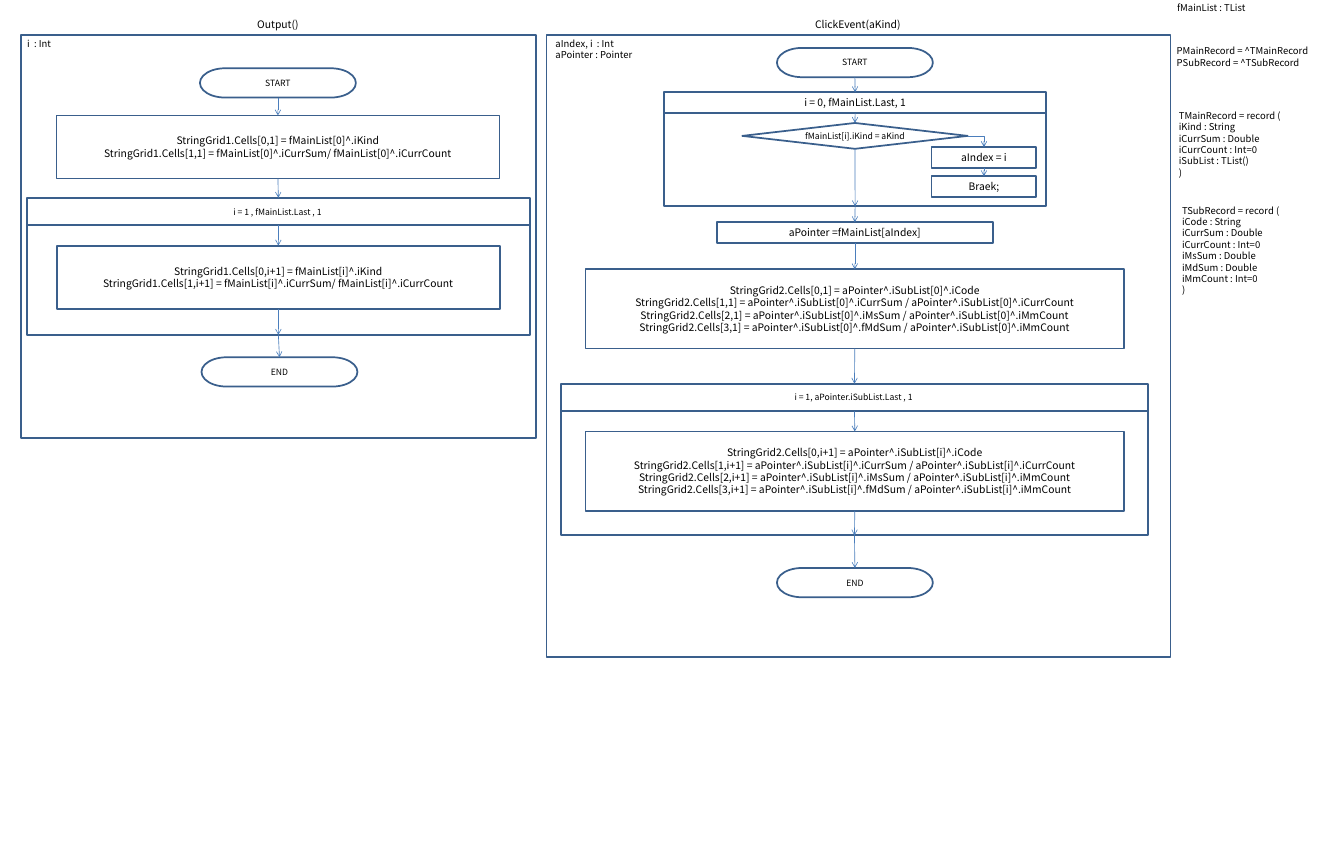
from dataclasses import dataclass

from lxml import etree
from pptx import Presentation
from pptx.dml.color import RGBColor
from pptx.enum.shapes import MSO_CONNECTOR, MSO_SHAPE
from pptx.enum.text import MSO_ANCHOR, PP_ALIGN
from pptx.oxml.ns import qn
from pptx.util import Pt

RECT = MSO_SHAPE.RECTANGLE
TERMINATOR = MSO_SHAPE.FLOWCHART_TERMINATOR
DECISION = MSO_SHAPE.FLOWCHART_DECISION
STRAIGHT, ELBOW = MSO_CONNECTOR.STRAIGHT, MSO_CONNECTOR.ELBOW
LEFT, CENTER = PP_ALIGN.LEFT, PP_ALIGN.CENTER
TOP_ANCHOR, MIDDLE = MSO_ANCHOR.TOP, MSO_ANCHOR.MIDDLE
TOP, BOTTOM, RIGHT = 0, 2, 3  # connection sites

FONT = "Noto Sans CJK KR"
LINE_PITCH = 1.2  # line height relative to the text size
COLORS = {"text": "000000", "border": "3A5F8C", "arrow": "4B7EBC"}


@dataclass
class Node:
    key: str
    left: float
    top: float
    width: float
    height: float
    text: str = ""
    size: float = 12
    kind: int = RECT


@dataclass
class Label:
    left: float
    top: float
    width: float
    text: str
    size: float = 11
    align: int = LEFT
    inset_x: float = 7.2
    inset_y: float = 3.6
    wrap: bool = True


@dataclass
class Link:
    start: str
    end: str
    start_site: int = BOTTOM
    end_site: int = TOP
    kind: int = STRAIGHT


def terminal(key: str, left: float, top: float, text: str) -> Node:
    return Node(key, left, top, 181, 34, text, 10, TERMINATOR)


def loop(key: str, left: float, top: float, width: float, head: float,
         body: float, text: str, size: float = 10) -> list[Node]:
    """A loop is a header box with its body frame right below."""
    return [Node(key, left, top, width, head, text, size),
            Node(key + " body", left, top + head, width, body)]


def grid_lines(grid: int, row: str, source: str, fields: list[str]) -> str:
    """Assignments of one grid row: the first field, then the quotients."""
    first, *quotients = fields
    lines = [f"StringGrid{grid}.Cells[0,{row}] = {source}^.{first}"]
    for col, quotient in enumerate(quotients, 1):
        value = quotient.replace("@", source + "^.")
        lines.append(f"StringGrid{grid}.Cells[{col},{row}] = {value}")
    return "\n".join(lines)


MAIN_FIELDS = ["iKind", "@iCurrSum/ @iCurrCount"]
SUB_FIELDS = ["iCode", "@iCurrSum / @iCurrCount", "@iMsSum / @iMmCount",
              "@fMdSum / @iMmCount"]

NODES = [
    # Output()
    Node("output frame", 24.5, 40.5, 597.5, 467.5),
    terminal("output start", 232, 79.2, "START"),
    Node("main first", 65.5, 134, 514, 73.3,
         grid_lines(1, "1", "fMainList[0]", MAIN_FIELDS)),
    *loop("main loop", 31, 229.5, 584, 32, 127, "i = 1 , fMainList.Last , 1 "),
    Node("main next", 66, 285, 514, 73.5,
         grid_lines(1, "i+1", "fMainList[i]", MAIN_FIELDS)),
    terminal("output end", 233.8, 414.5, "END"),
    # ClickEvent(aKind)
    Node("click frame", 634.2, 40.5, 724, 722),
    terminal("click start", 901.5, 55.6, "START"),
    *loop("search", 770.5, 107, 443.5, 24.4, 108, "i = 0, fMainList.Last, 1", 12),
    Node("match", 861.3, 142.7, 261.5, 30, "fMainList[i].iKind = aKind", 10, DECISION),
    Node("found", 1081, 170.8, 121.5, 24, "aIndex = i"),
    Node("break", 1081, 204.5, 121.5, 24, "Braek;"),
    Node("pointer", 831.9, 257.8, 320, 24, "aPointer =fMainList[aIndex]"),
    Node("sub first", 679.4, 312.5, 625, 91.8,
         grid_lines(2, "1", "aPointer^.iSubList[0]", SUB_FIELDS)),
    *loop("sub loop", 651, 445.2, 681, 32, 144, "i = 1, aPointer.iSubList.Last , 1 "),
    Node("sub next", 679.4, 500.7, 625, 91.8,
         grid_lines(2, "i+1", "aPointer^.iSubList[i]", SUB_FIELDS)),
    terminal("click end", 901.5, 659, "END"),
]

LINKS = [
    Link("output start", "main first"),
    Link("main first", "main loop"),
    Link("main loop", "main next"),
    Link("main next", "main loop body", end_site=BOTTOM),
    Link("main loop body", "output end"),
    Link("click start", "search"),
    Link("search", "match"),
    Link("match", "found", start_site=RIGHT, kind=ELBOW),
    Link("found", "break"),
    Link("match", "search body", end_site=BOTTOM),
    Link("search body", "pointer"),
    Link("pointer", "sub first"),
    Link("sub first", "sub loop"),
    Link("sub loop", "sub next"),
    Link("sub next", "sub loop body", end_site=BOTTOM),
    Link("sub loop body", "click end"),
]

LABELS = [
    # Headings and local variables
    Label(80, 21, 485, "Output()", 12, CENTER, 0, 0),
    Label(701.5, 21, 588, "ClickEvent(aKind)", 12, CENTER, 0, 0),
    Label(24.5, 40.5, 55.5, "i  : Int"),
    Label(637.5, 40.5, 161, "aIndex, i  : Int\naPointer : Pointer"),
    # Type declarations
    Label(1358.8, 0, 192, "fMainList : TList", inset_y=2.8),
    Label(1358.3, 49, 171.5, "PMainRecord = ^TMainRecord\nPSubRecord = ^TSubRecord",
          wrap=False),
    Label(1360.8, 124, 168, "TMainRecord = record (\niKind : String\niCurrSum : Double\n"
          "iCurrCount : Int=0\niSubList : TList()\n)"),
    Label(1364.5, 234, 168, "TSubRecord = record (\niCode : String\niCurrSum : Double\n"
          "iCurrCount : Int=0\niMsSum : Double\niMdSum : Double\niMmCount : Int=0\n)"),
]


def write(s, text: str, *, size: float, align: int = CENTER, anchor: int = MIDDLE,
          inset_x: float = 0, inset_y: float = 0, wrap: bool = True) -> None:
    tf = s.text_frame
    tf.word_wrap = wrap
    tf.vertical_anchor = anchor
    tf.margin_left = tf.margin_right = Pt(inset_x)
    tf.margin_top = tf.margin_bottom = Pt(inset_y)
    for i, line in enumerate(text.split("\n")):
        p = tf.add_paragraph() if i else tf.paragraphs[0]
        p.alignment = align
        p.line_spacing = Pt(size * LINE_PITCH)
        r = p.add_run()
        r.text = line
        r.font.name = FONT
        r.font.size = Pt(size)
        r.font.color.rgb = RGBColor.from_string(COLORS["text"])


def draw_node(slide, node: Node):
    s = slide.shapes.add_shape(node.kind, Pt(node.left), Pt(node.top),
                               Pt(node.width), Pt(node.height))
    s.shadow.inherit = False
    s.fill.background()
    s.line.color.rgb = RGBColor.from_string(COLORS["border"])
    s.line.width = Pt(2)
    if node.text:
        write(s, node.text, size=node.size)
    return s


def draw_label(slide, label: Label) -> None:
    lines = label.text.count("\n") + 1
    height = lines * label.size * LINE_PITCH + 2 * label.inset_y
    s = slide.shapes.add_textbox(Pt(label.left), Pt(label.top), Pt(label.width), Pt(height))
    write(s, label.text, size=label.size, align=label.align, anchor=TOP_ANCHOR,
          inset_x=label.inset_x, inset_y=label.inset_y, wrap=label.wrap)


def draw_link(slide, link: Link, shapes: dict) -> None:
    s = slide.shapes.add_connector(link.kind, 0, 0, 0, 0)
    s.begin_connect(shapes[link.start], link.start_site)
    s.end_connect(shapes[link.end], link.end_site)
    s.line.color.rgb = RGBColor.from_string(COLORS["arrow"])
    s.line.width = Pt(0.75)
    sp_pr = s._element.spPr
    if link.kind == ELBOW:  # a single bend
        sp_pr.find(qn("a:prstGeom")).set("prst", "bentConnector2")
    etree.SubElement(sp_pr.find(qn("a:ln")), qn("a:tailEnd"), type="arrow")
    etree.SubElement(sp_pr, qn("a:effectLst"))


def main() -> None:
    prs = Presentation()
    prs.slide_width, prs.slide_height = Pt(1559.5), Pt(992)
    slide = prs.slides.add_slide(prs.slide_layouts[6])
    shapes = {node.key: draw_node(slide, node) for node in NODES}
    for link in LINKS:
        draw_link(slide, link, shapes)
    for label in LABELS:
        draw_label(slide, label)
    prs.save("out.pptx")


if __name__ == "__main__":
    main()
